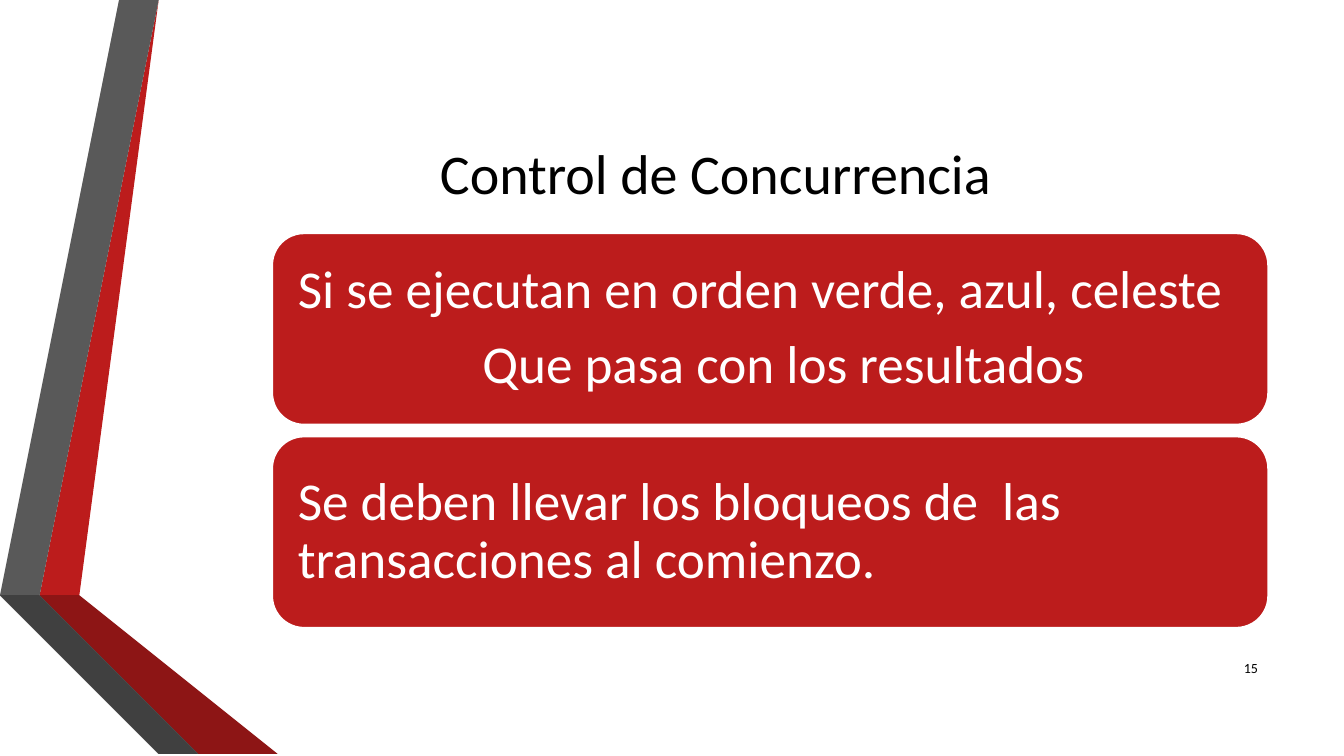
import pptx
import pptx.util
import pptx.dml.color
import pptx.enum.shapes
import pptx.enum.text
import pptx.oxml

Cm, Pt = pptx.util.Cm, pptx.util.Pt
ALIGN = pptx.enum.text.PP_ALIGN
COLORS = {
    "red": "BC1C1C", "wine": "8D1515", "dark wine": "5E0E0E",
    "gray": "595959", "dark gray": "404040", "coal": "262626",
    "white": "FFFFFF", "black": "000000",
}


def color(name):
    return pptx.dml.color.RGBColor.from_string(COLORS[name])


def write(par, text, size, tint, align=ALIGN.LEFT):
    par.alignment = align
    run = par.add_run()
    run.text = text
    run.font.name = "Calibri"
    run.font.size = Pt(size)
    run.font.color.rgb = color(tint)


deck = pptx.Presentation()
deck.slide_width, deck.slide_height = Cm(33.87), Cm(19.05)
slide = deck.slides.add_slide(deck.slide_layouts[5])
shapes = slide.shapes

# Folded ribbons on the left, points in cm
END = 19.05
bands = [
    ("red", [(1.27, 14.68), (1.96, 14.81), (4.39, 0), (3.68, 0)]),
    ("gray", [(3.53, 0), (2.82, 0), (0.41, 14.55), (1.12, 14.66)]),
    ("coal", [(0.41, 14.55), (3.68, END), (3.84, END)]),
    ("dark wine", [(1.27, 14.7), (5.28, END), (5.44, END)]),
    ("wine", [(1.27, 14.68), (5.44, END), (7.19, END), (1.96, 14.81)]),
    ("dark gray", [(5.13, END), (1.22, 14.81), (1.12, 14.66),
                   (0.41, 14.55), (3.84, END)]),
]
for tint, points in bands:
    path = shapes.build_freeform(*points[0], scale=Cm(1))
    path.add_line_segments(points[1:], close=True)
    band = path.convert_to_shape()
    band.shadow.inherit = False
    band.fill.solid()
    band.fill.fore_color.rgb = color(tint)
    band.line.fill.background()

# Title
title = shapes.title
title.left, title.top = Cm(4.11), Cm(1.9)
title.width, title.height = Cm(27.84), Cm(4.88)
title.text_frame.vertical_anchor = pptx.enum.text.MSO_ANCHOR.MIDDLE
write(title.text_frame.paragraphs[0], "Control de Concurrencia", 40, "black",
      ALIGN.CENTER)

# Red cards
cards = [
    ["Si se ejecutan en orden verde, azul, celeste",
     "\tQue pasa con los resultados"],
    ["Se deben llevar los bloqueos de  las transacciones al comienzo."],
]
for row, lines in enumerate(cards):
    card = shapes.add_shape(pptx.enum.shapes.MSO_SHAPE.ROUNDED_RECTANGLE,
                            Cm(6.86), Cm(5.88 + row * 5.12), Cm(25.1), Cm(4.82))
    card.shadow.inherit = False
    card.fill.solid()
    card.fill.fore_color.rgb = color("red")
    card.line.color.rgb = color("white")
    card.line.width = Pt(1.25)
    frame = card.text_frame
    frame.word_wrap = True
    frame.vertical_anchor = pptx.enum.text.MSO_ANCHOR.MIDDLE
    frame.margin_left = frame.margin_right = Cm(0.41)
    frame.margin_top = frame.margin_bottom = Cm(0.41)
    for at, line in enumerate(lines):
        par = frame.add_paragraph() if at else frame.paragraphs[0]
        par.line_spacing = 0.9
        par.space_after = Pt(13)
        write(par, line, 38, "white")
        if line.startswith("\t"):
            # Tab stop that sets the indent of the line
            props = par._p.get_or_add_pPr()
            props.append(pptx.oxml.parse_xml(
                '<a:tabLst xmlns:a="http://schemas.openxmlformats.org/'
                f'drawingml/2006/main"><a:tab pos="{Cm(4.65)}" algn="l"/>'
                '</a:tabLst>'))

# Slide number
number = shapes.add_textbox(Cm(30.43), Cm(16.31), Cm(1.52), Cm(1.02)).text_frame
number.word_wrap = True
number.vertical_anchor = pptx.enum.text.MSO_ANCHOR.MIDDLE
write(number.paragraphs[0], "15", 10, "black", ALIGN.RIGHT)

deck.save("out.pptx")
